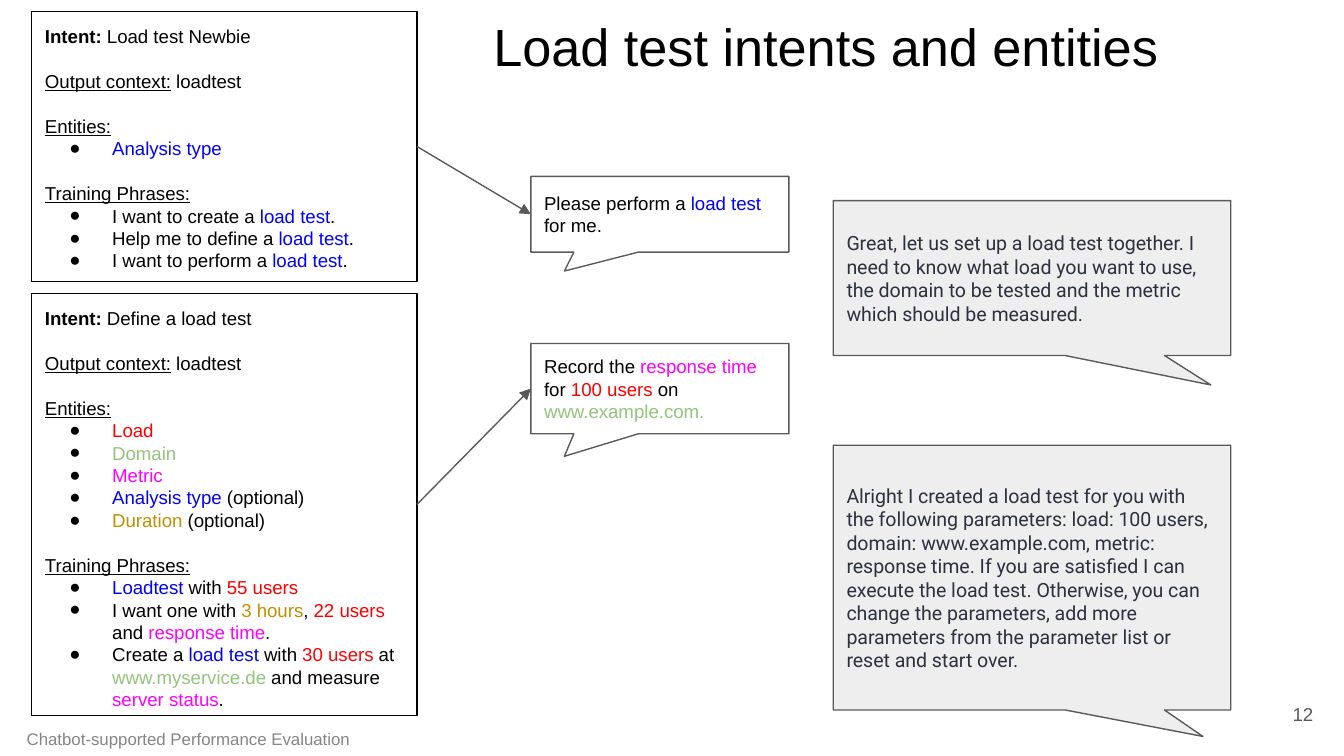
from lxml import etree
from pptx import Presentation
from pptx.dml.color import RGBColor
from pptx.enum.shapes import MSO_CONNECTOR, MSO_SHAPE
from pptx.enum.text import MSO_ANCHOR, PP_ALIGN
from pptx.oxml.ns import qn
from pptx.util import Pt

RECTANGLE = MSO_SHAPE.RECTANGLE
CALLOUT = MSO_SHAPE.ROUNDED_RECTANGULAR_CALLOUT
STRAIGHT = MSO_CONNECTOR.STRAIGHT
TOP, MIDDLE = MSO_ANCHOR.TOP, MSO_ANCHOR.MIDDLE
LEFT, RIGHT = PP_ALIGN.LEFT, PP_ALIGN.RIGHT

BLACK = RGBColor(0x00, 0x00, 0x00)
WHITE = RGBColor(0xFF, 0xFF, 0xFF)
BLUE = RGBColor(0x00, 0x00, 0xFF)
RED = RGBColor(0xFF, 0x00, 0x00)
GREEN = RGBColor(0x93, 0xC4, 0x7D)
MAGENTA = RGBColor(0xFF, 0x00, 0xFF)
GOLD = RGBColor(0xBF, 0x90, 0x00)
GREY = RGBColor(0x59, 0x59, 0x59)
FOOTER_GREY = RGBColor(0x85, 0x85, 0x85)
REPLY_FILL = RGBColor(0xEE, 0xEE, 0xEE)
REPLY_INK = RGBColor(0x2B, 0x31, 0x3F)

INSET = 7.2
LINE_HEIGHT = 12


def prepare_frame(shape, anchor):
    frame = shape.text_frame
    frame.word_wrap = True
    frame.vertical_anchor = anchor
    frame.margin_left = frame.margin_right = Pt(INSET)
    frame.margin_top = frame.margin_bottom = Pt(INSET)
    return frame


def write_runs(paragraph, parts, size=10, font="Arial", align=LEFT):
    paragraph.alignment = align
    for text, color in parts:
        run = paragraph.add_run()
        run.text = text
        run.font.size = Pt(size)
        run.font.name = font
        run.font.color.rgb = color


prs = Presentation()
prs.slide_width, prs.slide_height = Pt(720), Pt(405)
slide = prs.slides.add_slide(prs.slide_layouts[6])
shapes = slide.shapes

labels = [
    (7.2, 390.2, 203, 10.8, MIDDLE, "Chatbot-supported Performance Evaluation", 9, FOOTER_GREY, LEFT),
    (667.4, 367.2, 43.2, 31, MIDDLE, "12", 10, GREY, RIGHT),
    (257.2, 0.7, 469.4, 45.4, TOP, "Load test intents and entities", 28, BLACK, LEFT),
]
for left, top, width, height, anchor, text, size, color, align in labels:
    label = shapes.add_textbox(Pt(left), Pt(top), Pt(width), Pt(height))
    frame = prepare_frame(label, anchor)
    write_runs(frame.paragraphs[0], [(text, color)], size, align=align)

intents = [
    (6.2, 144.6, "Load test Newbie",
     [[("Analysis type", BLUE)]],
     [[(opening, BLACK), ("load test", BLUE), (".", BLACK)]
      for opening in ("I want to create a ", "Help me to define a ", "I want to perform a ")]),
    (157.2, 226.1, "Define a load test",
     [[("Load", RED)],
      [("Domain", GREEN)],
      [("Metric", MAGENTA)],
      [("Analysis type ", BLUE), ("(optional)", BLACK)],
      [("Duration", GOLD), (" (optional)", BLACK)]],
     [[("Loadtest", BLUE), (" with ", BLACK), ("55 users", RED)],
      [("I want one with ", BLACK), ("3 hours", GOLD), (", ", BLACK), ("22 users", RED),
       (" and ", BLACK), ("response time", MAGENTA), (".", BLACK)],
      [("Create a ", BLACK), ("load test", BLUE), (" with", BLACK), (" 30 users", RED),
       (" at ", BLACK), ("www.myservice.de", GREEN), (" and measure ", BLACK),
       ("server status", MAGENTA), (".", BLACK)]]),
]
for top, height, intent_name, entities, phrases in intents:
    intent = shapes.add_shape(RECTANGLE, Pt(17), Pt(top), Pt(206.4), Pt(height))
    intent.shadow.inherit = False
    intent.fill.background()
    intent.line.color.rgb = BLACK
    intent.line.width = Pt(0.75)
    frame = prepare_frame(intent, TOP)
    sections = [
        ("Intent: ", intent_name, []),
        ("Output context:", " loadtest", []),
        ("Entities:", "", entities),
        ("Training Phrases:", "", phrases),
    ]
    for index, (heading, value, items) in enumerate(sections):
        paragraph = frame.add_paragraph() if index else frame.paragraphs[0]
        parts = [(heading, BLACK)] + ([(value, BLACK)] if value else [])
        write_runs(paragraph, parts)
        if index:
            paragraph.space_before = Pt(LINE_HEIGHT)
            paragraph.runs[0].font.underline = True
        else:
            paragraph.runs[0].font.bold = True
        for item in items:
            bullet = frame.add_paragraph()
            properties = bullet._p.get_or_add_pPr()
            properties.set("marL", str(Pt(36)))
            properties.set("indent", str(Pt(-22.9)))
            bullet_color = etree.SubElement(properties, qn("a:buClr"))
            etree.SubElement(bullet_color, qn("a:srgbClr"), val=str(BLACK))
            etree.SubElement(properties, qn("a:buFont"), typeface="Arial")
            etree.SubElement(properties, qn("a:buChar"), char="●")
            write_runs(bullet, item)

request_style = (284.4, 138.2, WHITE, 10, "Arial")
reply_style = (446.4, 212.9, REPLY_FILL, 10.5, "Roboto")
messages = [
    (request_style, 94.5, 40.6, (-0.37, 0.75),
     [("Please perform a ", BLACK), ("load test", BLUE), (" for me.", BLACK)]),
    (request_style, 184, 48.4, (-0.37, 0.75),
     [("Record the ", BLACK), ("response time", MAGENTA), (" for ", BLACK),
      ("100 users", RED), (" on ", BLACK), ("www.example.com.", GREEN)]),
    (reply_style, 107.5, 83, (0.45, 0.69),
     [("Great, let us set up a load test together. I need to know what load you want to use, "
       "the domain to be tested and the metric which should be measured.", REPLY_INK)]),
    (reply_style, 238.6, 141.8, (0.43, 0.6),
     [("Alright I created a load test for you with the following parameters: load: 100 users, "
       "domain: www.example.com, metric: response time. If you are satisfied I can execute the "
       "load test. Otherwise, you can change the parameters, add more parameters from the "
       "parameter list or reset and start over.", REPLY_INK)]),
]
for (left, width, fill, size, font), top, height, (tip_x, tip_y), parts in messages:
    bubble = shapes.add_shape(CALLOUT, Pt(left), Pt(top), Pt(width), Pt(height))
    bubble.adjustments[0] = tip_x
    bubble.adjustments[1] = tip_y
    bubble.adjustments[2] = 0
    bubble.shadow.inherit = False
    bubble.fill.solid()
    bubble.fill.fore_color.rgb = fill
    bubble.line.color.rgb = GREY
    bubble.line.width = Pt(0.75)
    frame = prepare_frame(bubble, MIDDLE)
    write_runs(frame.paragraphs[0], parts, size, font)

for start_y, end_y in [(78.5, 114.8), (270.2, 208.2)]:
    arrow = shapes.add_connector(STRAIGHT, Pt(223.4), Pt(start_y), Pt(284.4), Pt(end_y))
    arrow.line.color.rgb = GREY
    arrow.line.width = Pt(0.75)
    etree.SubElement(arrow.line._get_or_add_ln(), qn("a:tailEnd"), type="triangle")
    etree.SubElement(arrow._element.spPr, qn("a:effectLst"))

prs.save("out.pptx")
